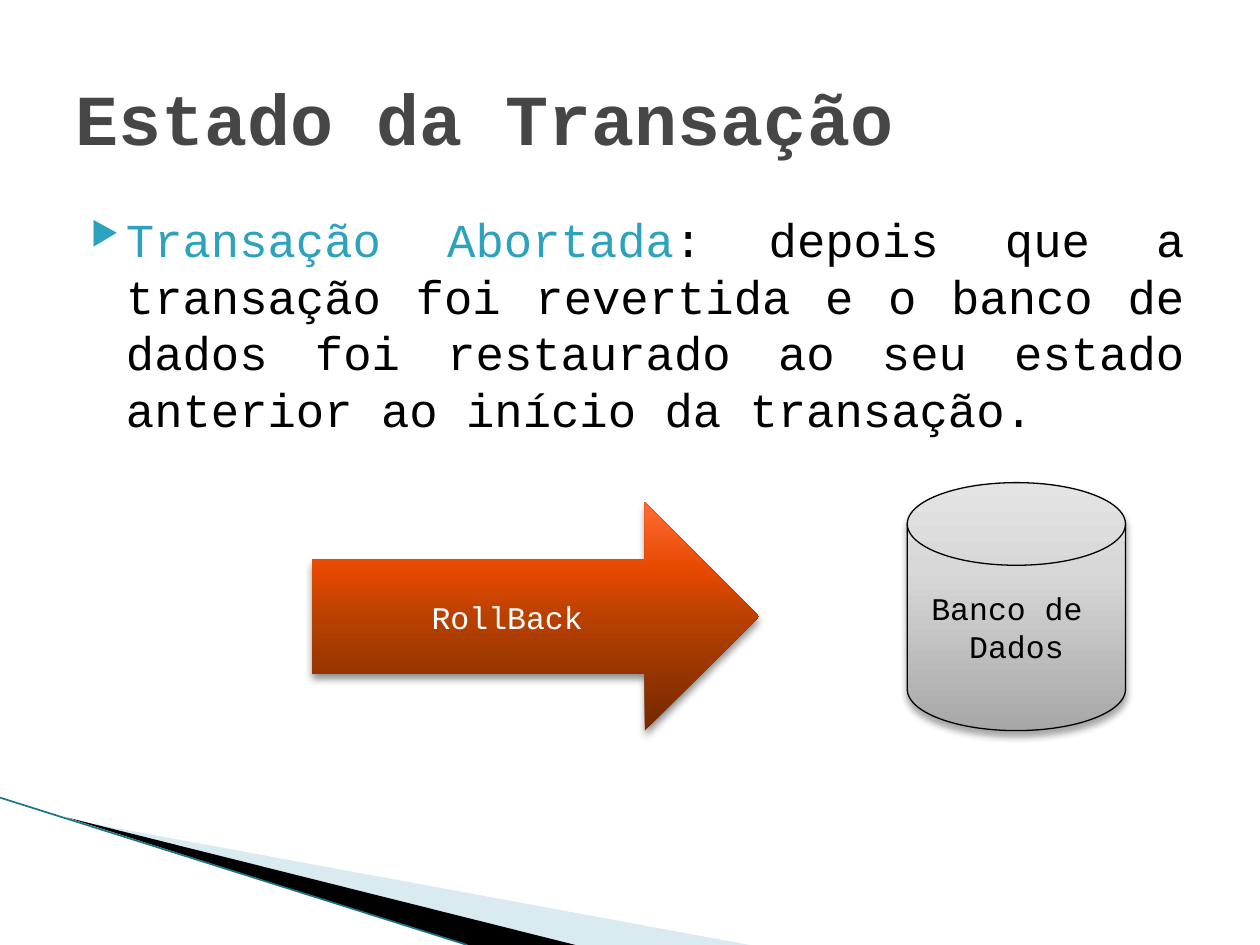
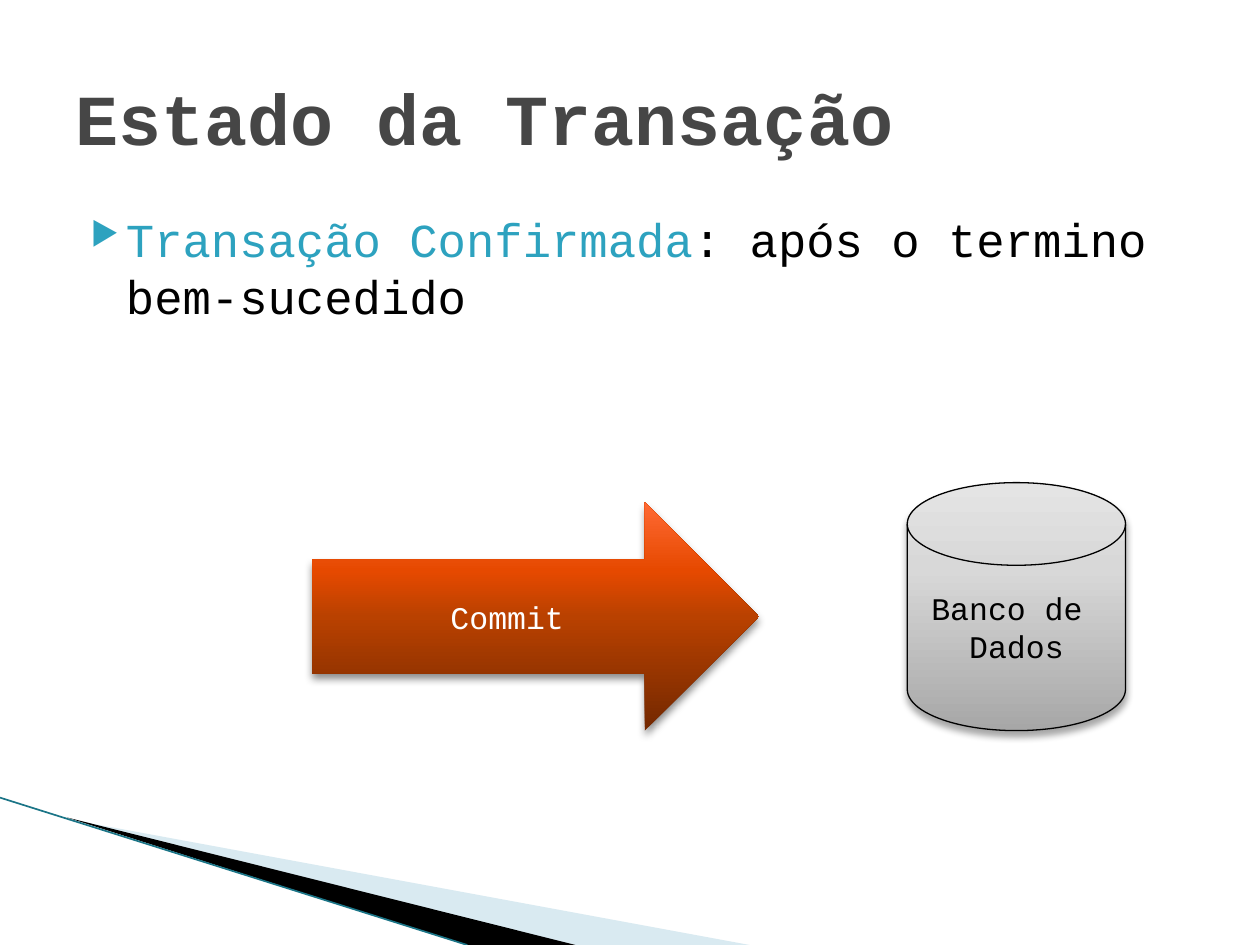
from dataclasses import dataclass

from lxml import etree
from pptx import Presentation
from pptx import util as u
from pptx.dml import color
from pptx.enum import shapes, text
from pptx.oxml import ns
from pptx.shapes.autoshape import Shape
from pptx.slide import Slide
from pptx.text.text import TextFrame


@dataclass(frozen=True)
class Theme:
    font: str = "Courier New"
    title_size: float = 41
    body_size: float = 27
    label_size: float = 18
    title: str = "464646"
    accent: str = "2DA2BF"
    dark: str = "000000"
    light: str = "FFFFFF"
    pale: str = "A0CBDC"
    edge: str = "1B7587"
    orange: tuple = ((0, "732800"), (50, "B94100"), (70, "E64900"), (100, "FF6933"))
    gray: tuple = ((0, "A7A7A7"), (65, "D8D8D8"), (100, "E4E4E4"))


@dataclass(frozen=True)
class Box:
    left: float
    top: float
    width: float
    height: float

    def lengths(self) -> list[u.Length]:
        return [u.Cm(side) for side in (self.left, self.top, self.width, self.height)]


@dataclass(frozen=True)
class Wedge:
    points: tuple
    fill: str
    opacity: int


@dataclass(frozen=True)
class Figure:
    preset: shapes.MSO_SHAPE
    box: Box
    gradient: tuple
    text_color: str
    line: str | None
    shadow_opacity: int
    shadow_blur: float


@dataclass(frozen=True)
class TransactionState:
    name: str
    description: str
    action: str
    alignment: text.PP_ALIGN


THEME = Theme()
TITLE_BOX = Box(1.27, 0.76, 22.86, 3.18)
BODY_BOX = Box(1.27, 4.11, 22.86, 12.57)
WEDGES = (
    Wedge(((1.4, 16.52), (15.11, 19.05), (11.58, 19.05)), THEME.pale, 40),
    Wedge(((1.35, 16.48), (11.6, 19.05), (9.4, 19.05)), THEME.dark, 100),
)
DATABASE = Figure(shapes.MSO_SHAPE.FLOWCHART_MAGNETIC_DISK, Box(18.29, 9.73, 4.4, 5),
                  THEME.gray, THEME.dark, THEME.dark, 35, 4)
ACTION_ARROW = Figure(shapes.MSO_SHAPE.RIGHT_ARROW, Box(6.3, 10.13, 9, 4.6),
                      THEME.orange, THEME.light, None, 45, 5)
STATES = (
    TransactionState(
        "Transação Abortada",
        ": depois que a transação foi revertida e o banco de dados foi restaurado "
        "ao seu estado anterior ao início da transação.",
        "RollBack", text.PP_ALIGN.JUSTIFY),
    TransactionState("Transação Confirmada", ": após o termino bem-sucedido",
                     "Commit", text.PP_ALIGN.LEFT),
)


def rgb(value: str) -> color.RGBColor:
    return color.RGBColor.from_string(value)


def add_child(parent, tag: str, **attributes):
    element = etree.SubElement(parent, ns.qn(tag))
    for name, value in attributes.items():
        element.set(name, str(value))
    return element


def add_color(parent, value: str, opacity: int = 100) -> None:
    element = add_child(parent, "a:srgbClr", val=value)
    if opacity < 100:
        add_child(element, "a:alpha", val=opacity * 1000)


def add_band(slide: Slide) -> None:
    for wedge in WEDGES:
        first, *others = [(u.Cm(x), u.Cm(y)) for x, y in wedge.points]
        builder = slide.shapes.build_freeform(*first)
        builder.add_line_segments(others, close=True)
        shape = builder.convert_to_shape()
        shape.shadow.inherit = False
        shape.fill.solid()
        shape.fill.fore_color.rgb = rgb(wedge.fill)
        shape.line.fill.background()
        if wedge.opacity < 100:
            fill_color = shape.element.spPr.find(".//" + ns.qn("a:srgbClr"))
            add_child(fill_color, "a:alpha", val=wedge.opacity * 1000)
    edge = slide.shapes.add_connector(shapes.MSO_CONNECTOR.STRAIGHT,
                                      u.Cm(0), u.Cm(16.08), u.Cm(9.42), u.Cm(19.05))
    edge.line.color.rgb = rgb(THEME.edge)
    edge.line.width = u.Pt(0.95)
    add_child(edge.element.spPr, "a:effectLst")


def add_text_frame(slide: Slide, box: Box) -> TextFrame:
    frame = slide.shapes.add_textbox(*box.lengths()).text_frame
    frame.word_wrap = True
    return frame


def add_title(slide: Slide, title: str) -> None:
    frame = add_text_frame(slide, TITLE_BOX)
    frame.vertical_anchor = text.MSO_ANCHOR.MIDDLE
    paragraph = frame.paragraphs[0]
    paragraph.text = title
    font = paragraph.font
    font.name, font.size, font.bold = THEME.font, u.Pt(THEME.title_size), True
    font.color.rgb = rgb(THEME.title)


def add_body(slide: Slide, state: TransactionState) -> None:
    paragraph = add_text_frame(slide, BODY_BOX).paragraphs[0]
    paragraph.alignment = state.alignment
    paragraph.space_before = u.Pt(4)
    properties = paragraph._p.get_or_add_pPr()
    properties.set("marL", str(u.Cm(1.02)))
    properties.set("indent", str(u.Cm(-0.71)))
    add_color(add_child(properties, "a:buClr"), THEME.accent)
    add_child(properties, "a:buSzPct", val=68000)
    add_child(properties, "a:buChar", char="▶")
    paragraph.font.name = THEME.font
    paragraph.font.size = u.Pt(THEME.body_size)
    for content, run_color in ((state.name, THEME.accent), (state.description, THEME.dark)):
        run = paragraph.add_run()
        run.text = content
        run.font.color.rgb = rgb(run_color)


def fill_gradient(shape: Shape, stops: tuple) -> None:
    shape.fill.gradient()
    shape.fill.gradient_angle = 90
    stop_list = shape.element.spPr.find(".//" + ns.qn("a:gsLst"))
    for stop in list(stop_list):
        stop_list.remove(stop)
    for position, value in stops:
        add_color(add_child(stop_list, "a:gs", pos=position * 1000), value)


def add_figure(slide: Slide, figure: Figure, label: str) -> None:
    shape = slide.shapes.add_shape(figure.preset, *figure.box.lengths())
    fill_gradient(shape, figure.gradient)
    if figure.line:
        shape.line.color.rgb = rgb(figure.line)
        shape.line.width = u.Pt(0.75)
    else:
        shape.line.fill.background()
    shape.shadow.inherit = False
    effects = shape.element.spPr.find(ns.qn("a:effectLst"))
    shadow = add_child(effects, "a:outerShdw", blurRad=u.Pt(figure.shadow_blur),
                       dist=u.Pt(3), dir=90 * 60000, rotWithShape=0)
    add_color(shadow, THEME.dark, figure.shadow_opacity)
    frame = shape.text_frame
    frame.vertical_anchor = text.MSO_ANCHOR.MIDDLE
    paragraph = frame.paragraphs[0]
    paragraph.text = label
    paragraph.alignment = text.PP_ALIGN.CENTER
    font = paragraph.font
    font.name, font.size = THEME.font, u.Pt(THEME.label_size)
    font.color.rgb = rgb(figure.text_color)


def main() -> None:
    presentation = Presentation()
    presentation.slide_width = u.Cm(25.4)
    presentation.slide_height = u.Cm(19.05)
    for state in STATES:
        slide = presentation.slides.add_slide(presentation.slide_layouts[6])
        add_band(slide)
        add_body(slide, state)
        add_title(slide, "Estado da Transação")
        add_figure(slide, DATABASE, "Banco de \vDados")
        add_figure(slide, ACTION_ARROW, state.action)
    presentation.save("out.pptx")


if __name__ == "__main__":
    main()
